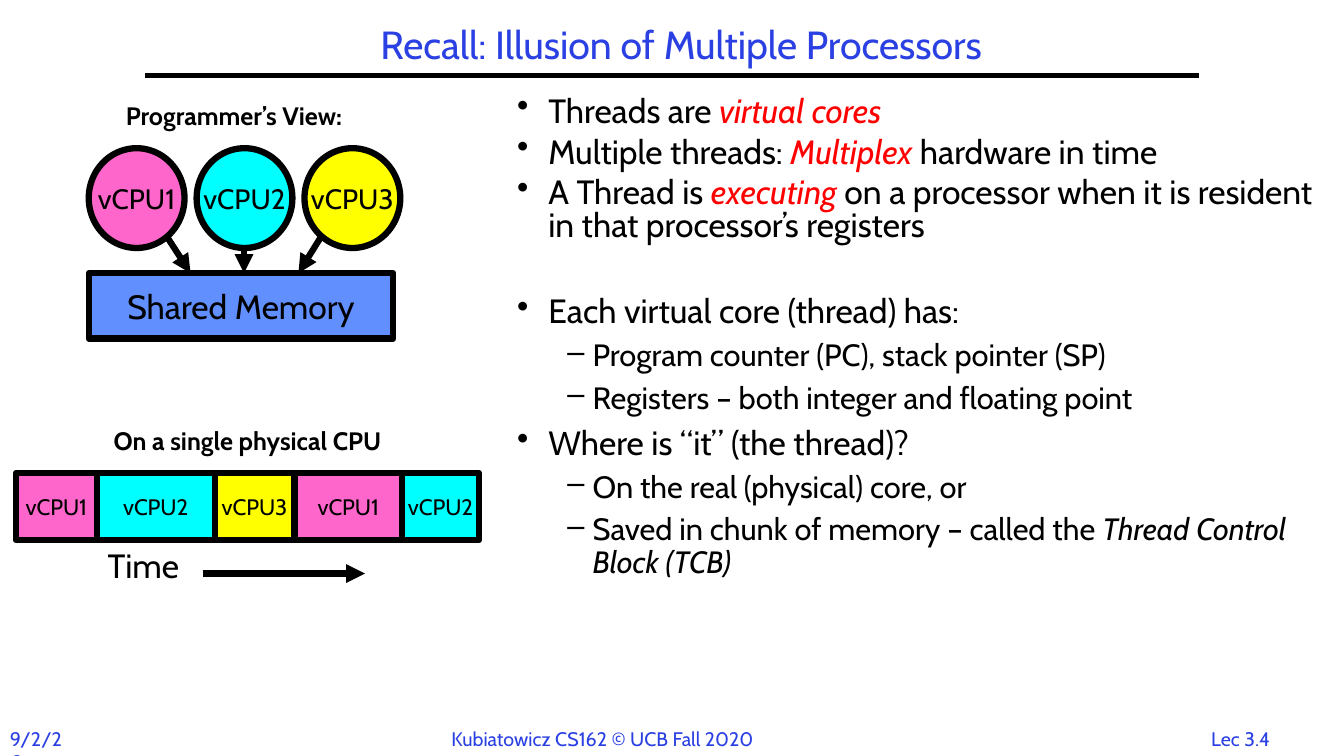
"""Build the slide about the illusion of multiple processors."""
from lxml.etree import SubElement
from pptx import Presentation
from pptx.dml.color import RGBColor
from pptx.enum.shapes import MSO_CONNECTOR as Connector, MSO_SHAPE as Preset
from pptx.enum.text import MSO_ANCHOR as Anchor, PP_ALIGN as Align
from pptx.oxml.ns import qn
from pptx.util import Inches, Pt

BLACK = RGBColor(0x00, 0x00, 0x00)
BLUE = RGBColor(0x2A, 0x40, 0xE2)
RED = RGBColor(0xFF, 0x00, 0x00)
PINK = RGBColor(0xFF, 0x66, 0xCC)
CYAN = RGBColor(0x00, 0xFF, 0xFF)
YELLOW = RGBColor(0xFF, 0xFF, 0x00)
MEMORY_BLUE = RGBColor(0x61, 0x8F, 0xFD)
FONT = "Cabin"


def add_run(paragraph, text, size, color=BLACK, bold=False, italic=False):
    run = paragraph.add_run()
    run.text = text
    run.font.name = FONT
    run.font.size = Pt(size)
    run.font.color.rgb = color
    run.font.bold = bold
    run.font.italic = italic


def add_line(slide, start, end, width, arrow=True):
    line = slide.shapes.add_connector(
        Connector.STRAIGHT, *map(Inches, start), *map(Inches, end))
    line.line.color.rgb = BLACK
    line.line.width = Pt(width)
    if arrow:
        SubElement(line.line._get_or_add_ln(), qn("a:tailEnd"), type="triangle")
    SubElement(line._element.spPr, qn("a:effectLst"))


presentation = Presentation()
presentation.slide_width = Inches(13.33)
presentation.slide_height = Inches(7.5)
slide = presentation.slides.add_slide(presentation.slide_layouts[6])

labels = [
    ("Lec 3.4", (11.82, 7.16, 0.97, 0.33), 14, BLUE, False, Align.CENTER),
    ("9/2/20", (0, 7.16, 0.85, 0.34), 14, BLUE, False, Align.LEFT),
    ("Kubiatowicz CS162 © UCB Fall 2020", (4.38, 7.16, 3.43, 0.34), 14, BLUE, False, Align.LEFT),
    ("Recall: Illusion of Multiple Processors", (1.92, 0.17, 9.67, 0.58), 28, BLUE, False, Align.CENTER),
    ("Programmer’s View:", (1.15, 0.95, 2.64, 0.4), 18, BLACK, True, Align.LEFT),
    ("On a single physical CPU", (0.79, 4.17, 3.33, 0.4), 18, BLACK, True, Align.CENTER),
    ("Time", (0.97, 5.36, 1.03, 0.51), 24, BLACK, False, Align.LEFT),
]
for text, box, size, color, bold, alignment in labels:
    label = slide.shapes.add_textbox(*map(Inches, box))
    label.text_frame.word_wrap = True
    label.text_frame.vertical_anchor = Anchor.MIDDLE if size == 28 else Anchor.TOP
    paragraph = label.text_frame.paragraphs[0]
    paragraph.alignment = alignment
    if size == 28:
        paragraph.line_spacing = 0.9
    add_run(paragraph, text, size, color, bold)

add_line(slide, (1.44, 0.75), (11.89, 0.75), 3, arrow=False)

bullets = [
    (0, 0.8, 6, [("Threads are ", BLACK, False), ("virtual cores", RED, True)]),
    (0, 0.8, 6, [("Multiple threads: ", BLACK, False), ("Multiplex", RED, True),
                 (" hardware in time", BLACK, False)]),
    (0, 0.8, 6, [("A Thread is ", BLACK, False), ("executing ", RED, True),
                 ("on a processor when it is resident in that processor’s registers", BLACK, False)]),
    (0, 0.9, 36.5, [("Each virtual core (thread) has:", BLACK, False)]),
    (1, 0.9, 6.6, [("Program counter (PC), stack pointer (SP)", BLACK, False)]),
    (1, 0.9, 6.6, [("Registers – both integer and floating point", BLACK, False)]),
    (0, 0.9, 7.2, [("Where is “it” (the thread)?", BLACK, False)]),
    (1, 0.9, 6.6, [("On the real (physical) core, or", BLACK, False)]),
    (1, 0.9, 6.6, [("Saved in chunk of memory – called the ", BLACK, False),
                   ("Thread Control Block (TCB)", BLACK, True)]),
]
level_styles = [("•", 24, 0.31, 0.31), ("–", 22, 0.75, 0.25)]
body = slide.shapes.add_textbox(Inches(5.03), Inches(0.92), Inches(8.13), Inches(5.83))
body.text_frame.word_wrap = True
for index, (level, line_spacing, space_before, runs) in enumerate(bullets):
    frame = body.text_frame
    paragraph = frame.add_paragraph() if index else frame.paragraphs[0]
    mark, size, margin, hanging = level_styles[level]
    paragraph.level = level
    paragraph.line_spacing = line_spacing
    paragraph.space_before = Pt(space_before)
    properties = paragraph._p.get_or_add_pPr()
    properties.set("marL", str(Inches(margin)))
    properties.set("indent", str(-Inches(hanging)))
    SubElement(properties, qn("a:buChar"), char=mark)
    for text, color, italic in runs:
        add_run(paragraph, text, size, color, italic=italic)

cpu_colors = {"vCPU1": PINK, "vCPU2": CYAN, "vCPU3": YELLOW}
blocks = [(Preset.RECTANGLE, "Shared Memory", (0.88, 2.71, 3.02, 0.65), MEMORY_BLUE, 24)]
for index, (name, color) in enumerate(cpu_colors.items()):
    blocks.append((Preset.OVAL, name, (0.88 + 1.07 * index, 1.47, 0.95, 0.99), color, 20))

time_slices = [("vCPU1", 0.8), ("vCPU2", 1.17), ("vCPU3", 0.79), ("vCPU1", 1.07), ("vCPU2", 0.76)]
left = 0.16
for name, width in time_slices:
    blocks.append((Preset.RECTANGLE, name, (left, 4.69, width, 0.67), cpu_colors[name], 16))
    left += width

for preset, text, box, color, size in blocks:
    block = slide.shapes.add_shape(preset, *map(Inches, box))
    block.shadow.inherit = False
    block.fill.solid()
    block.fill.fore_color.rgb = color
    block.line.color.rgb = BLACK
    block.line.width = Pt(4.5)
    block.text_frame.word_wrap = False
    block.text_frame.vertical_anchor = Anchor.MIDDLE
    paragraph = block.text_frame.paragraphs[0]
    paragraph.alignment = Align.CENTER
    add_run(paragraph, text, size)

arrows = [
    ((1.65, 2.34), (1.89, 2.71)),
    ((3.19, 2.34), (2.96, 2.71)),
    ((2.42, 2.46), (2.42, 2.71)),
    ((2.01, 5.69), (3.62, 5.69)),
]
for start, end in arrows:
    add_line(slide, start, end, 4.5)

presentation.save("out.pptx")
